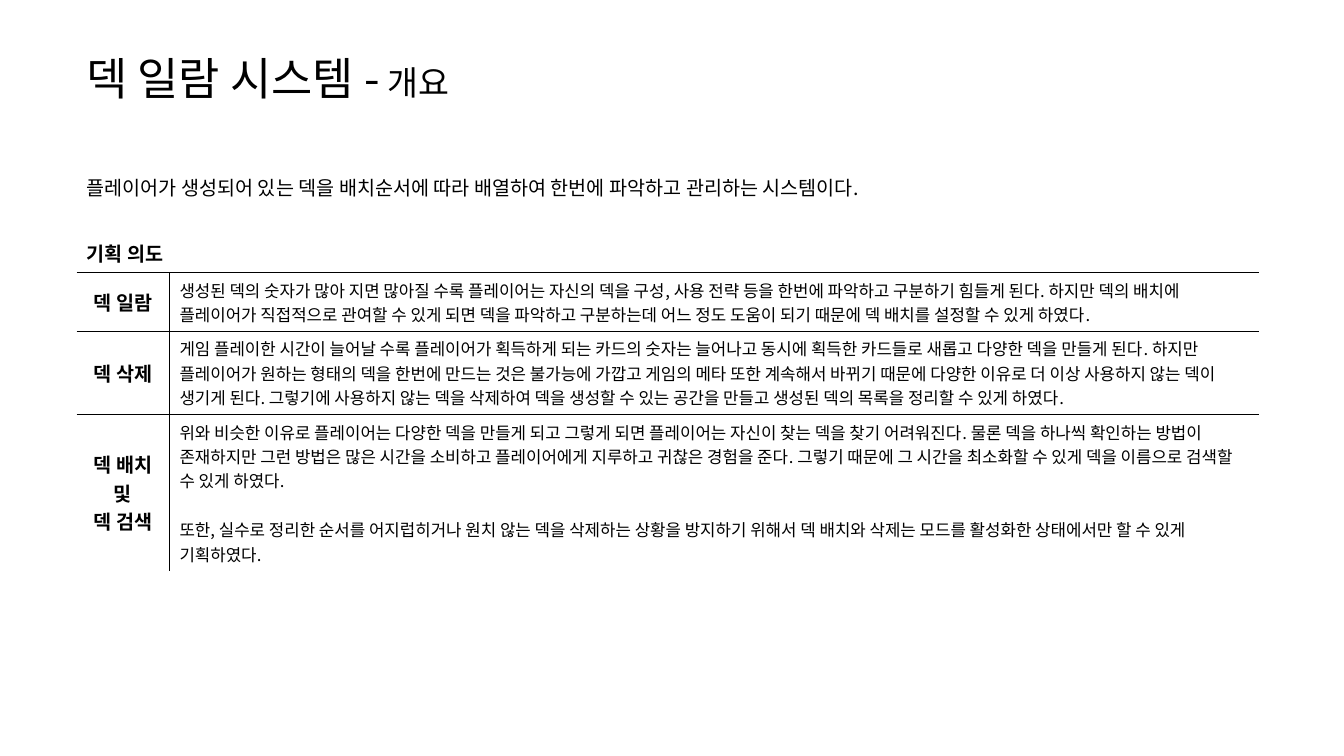
from lxml import etree
from pptx import Presentation
from pptx.dml.color import RGBColor
from pptx.enum.text import MSO_ANCHOR, PP_ALIGN
from pptx.oxml.ns import qn
from pptx.util import Cm, Pt

LEFT, CENTER = PP_ALIGN.LEFT, PP_ALIGN.CENTER
TOP, MIDDLE, BOTTOM = MSO_ANCHOR.TOP, MSO_ANCHOR.MIDDLE, MSO_ANCHOR.BOTTOM

SUMMARY = "플레이어가 생성되어 있는 덱을 배치순서에 따라 배열하여 한번에 파악하고 관리하는 시스템이다."
HEADING = "기획 의도"
INTENTS = [
    (["덱 일람"], [
        "생성된 덱의 숫자가 많아 지면 많아질 수록 플레이어는 자신의 덱을 구성, 사용 전략 등을 한번에 "
        "파악하고 구분하기 힘들게 된다. 하지만 덱의 배치에 플레이어가 직접적으로 관여할 수 있게 되면 "
        "덱을 파악하고 구분하는데 어느 정도 도움이 되기 때문에 덱 배치를 설정할 수 있게 하였다."]),
    (["덱 삭제"], [
        "게임 플레이한 시간이 늘어날 수록 플레이어가 획득하게 되는 카드의 숫자는 늘어나고 동시에 획득한 "
        "카드들로 새롭고 다양한 덱을 만들게 된다. 하지만 플레이어가 원하는 형태의 덱을 한번에 만드는 것은 "
        "불가능에 가깝고 게임의 메타 또한 계속해서 바뀌기 때문에 다양한 이유로 더 이상 사용하지 않는 덱이 "
        "생기게 된다. 그렇기에 사용하지 않는 덱을 삭제하여 덱을 생성할 수 있는 공간을 만들고 생성된 덱의 "
        "목록을 정리할 수 있게 하였다."]),
    (["덱 배치", "및", "덱 검색"], [
        "위와 비슷한 이유로 플레이어는 다양한 덱을 만들게 되고 그렇게 되면 플레이어는 자신이 찾는 덱을 찾기 "
        "어려워진다. 물론 덱을 하나씩 확인하는 방법이 존재하지만 그런 방법은 많은 시간을 소비하고 플레이어에게 "
        "지루하고 귀찮은 경험을 준다. 그렇기 때문에 그 시간을 최소화할 수 있게 덱을 이름으로 검색할 수 있게 하였다.",
        "또한, 실수로 정리한 순서를 어지럽히거나 원치 않는 덱을 삭제하는 상황을 방지하기 위해서 덱 배치와 삭제는 "
        "모드를 활성화한 상태에서만 할 수 있게 기획하였다."]),
]


def color(value):
    return RGBColor.from_string(value)


class Page:
    """Hold the text style and the slide, and add elements to it."""

    font_name = "Noto Sans CJK KR"
    ink = "000000"

    def __init__(self, deck):
        self.shapes = deck.slides.add_slide(deck.slide_layouts[6]).shapes

    def span(self, para, text, size, bold=False):
        span = para.add_run()
        span.text = text
        font = span.font
        font.name, font.size, font.bold = self.font_name, Pt(size), bold
        font.color.rgb = color(self.ink)
        east_asian = etree.SubElement(font._element, qn("a:ea"))
        east_asian.set("typeface", self.font_name)

    def title(self, left, top, width, height, spans):
        frame = self.shapes.add_textbox(Cm(left), Cm(top), Cm(width), Cm(height)).text_frame
        frame.word_wrap = True
        frame.vertical_anchor = MIDDLE
        for text, size in spans:
            self.span(frame.paragraphs[0], text, size)

    def table(self, left, top, widths, heights):
        frame = self.shapes.add_table(len(heights), len(widths), Cm(left), Cm(top),
                                      Cm(sum(widths)), Cm(sum(heights)))
        table = frame.table
        table.first_row = table.horz_banding = False
        for column, width in zip(table.columns, widths):
            column.width = Cm(width)
        for row, height in zip(table.rows, heights):
            row.height = Cm(height)
        return table

    def borders(self, cell, sides):
        properties = cell._tc.get_or_add_tcPr()
        for side in "LRTB":
            line = etree.SubElement(properties, qn(f"a:ln{side}"))
            if side in sides:
                line.set("w", str(Pt(1)))
                fill = etree.SubElement(line, qn("a:solidFill"))
                etree.SubElement(fill, qn("a:srgbClr")).set("val", self.ink)
            else:
                etree.SubElement(line, qn("a:noFill"))
        cell.fill.background()

    def cell_text(self, cell, lines, size, bold=False, align=LEFT, anchor=MIDDLE, gap=0):
        cell.vertical_anchor = anchor
        frame = cell.text_frame
        for index, text in enumerate(lines):
            para = frame.add_paragraph() if index else frame.paragraphs[0]
            para.alignment = align
            if index and gap:
                para.space_before = Pt(gap)
            self.span(para, text, size, bold)


def main():
    deck = Presentation()
    deck.slide_width, deck.slide_height = Cm(33.87), Cm(19.05)
    page = Page(deck)
    page.title(1.93, 1.07, 30, 1.75, [("덱 일람 시스템 -", 32), (" 개요", 24)])

    table = page.table(1.93, 4.22, [2.34, 27.46], [0.97, 1.68, 1.48, 2.1, 3.93])
    row_sides = [("", ""), ("B", "B"), ("RTB", "LTB"), ("RTB", "LTB"), ("RT", "LT")]
    for row, sides in enumerate(row_sides):
        for column, side in enumerate(sides):
            page.borders(table.cell(row, column), side)
    for row in range(2):
        table.cell(row, 0).merge(table.cell(row, 1))

    page.cell_text(table.cell(0, 0), [SUMMARY], 14, anchor=TOP)
    page.cell_text(table.cell(1, 0), [HEADING], 14, bold=True, anchor=BOTTOM)
    for row, (label, reasons) in enumerate(INTENTS, start=2):
        page.cell_text(table.cell(row, 0), label, 14, bold=True, align=CENTER)
        page.cell_text(table.cell(row, 1), reasons, 12, gap=17.4)
    deck.save("out.pptx")


if __name__ == "__main__":
    main()
